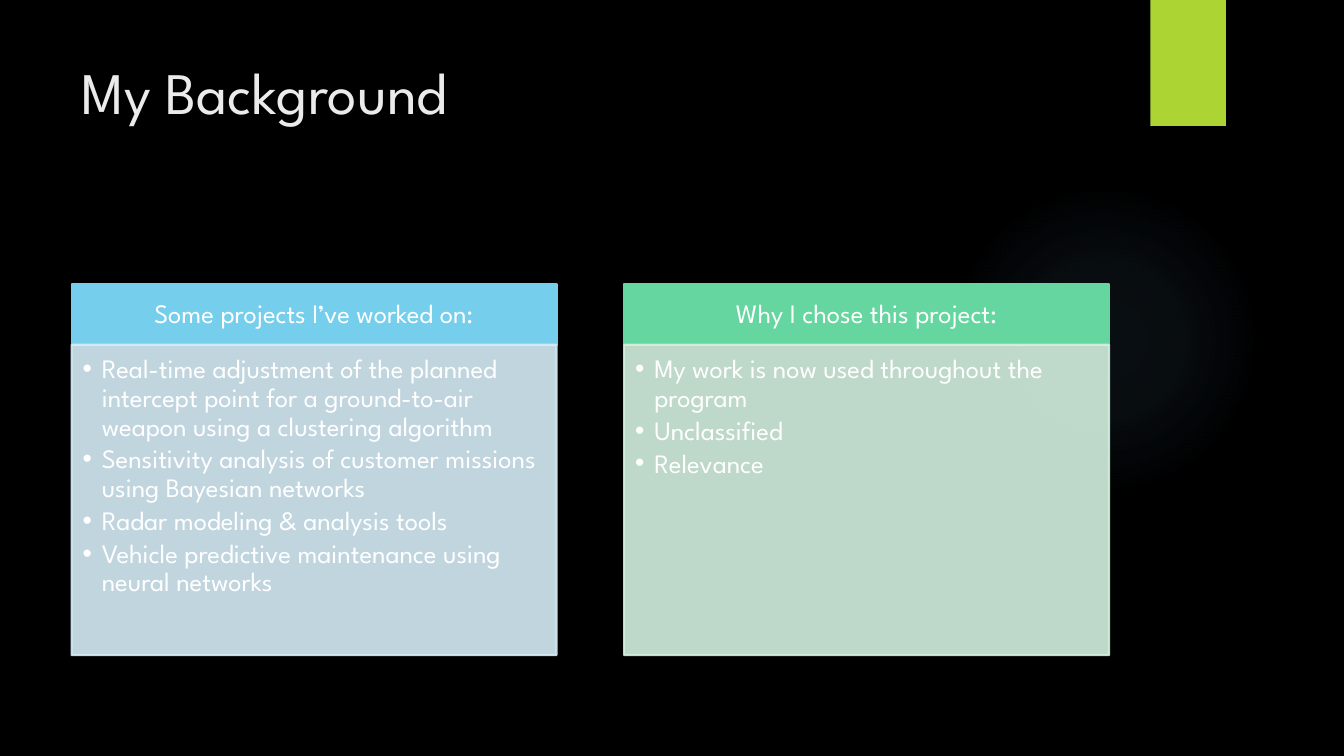
"""Build the "My Background" slide with two headed list cards."""
from lxml import etree
from pptx import Presentation
from pptx import util as u
from pptx.dml.color import RGBColor
from pptx.enum import shapes, text
from pptx.oxml import parse_xml
from pptx.oxml.ns import nsdecls, qn

BLACK = RGBColor(0x00, 0x00, 0x00)
WHITE = RGBColor(0xFF, 0xFF, 0xFF)
TITLE = RGBColor(0xEB, 0xEB, 0xEB)
LIME = RGBColor(0xAC, 0xD4, 0x33)
GLOW = RGBColor(0x7A, 0xC4, 0xF0)
SKY = RGBColor(0x75, 0xCE, 0xEC)
PALE_SKY = RGBColor(0xD6, 0xED, 0xF8)
GREEN = RGBColor(0x65, 0xD6, 0xA0)
PALE_GREEN = RGBColor(0xD3, 0xF0, 0xDF)

LEFT, CARD_W, CARD_STEP = 0.71, 4.81, 5.48
HEAD_TOP, HEAD_H, LIST_H = 2.82, 0.6, 3.08
INDENT = 0.19

CARDS = [
    ("Some projects I’ve worked on:", SKY, PALE_SKY, [
        "Real-time adjustment of the planned intercept point for a "
        "ground-to-air weapon using a clustering algorithm",
        "Sensitivity analysis of customer missions using Bayesian networks",
        "Radar modeling & analysis tools",
        "Vehicle predictive maintenance using neural networks",
    ]),
    ("Why I chose this project:", GREEN, PALE_GREEN, [
        "My work is now used throughout the program",
        "Unclassified",
        "Relevance",
    ]),
]


class Deck:
    """Hold the text style and the current slide."""

    font = "League Spartan"
    size = 19

    def __init__(self, prs, layout):
        self.s = prs.slides.add_slide(prs.slide_layouts[layout])
        fill = self.s.background.fill
        fill.solid()
        fill.fore_color.rgb = BLACK

    def place(self, idx, box, lines, margins, anchor, size, color):
        sp = self.s.placeholders[idx]
        sp.left, sp.top, sp.width, sp.height = map(u.Inches, box)
        tf = sp.text_frame
        tf.text = "\n".join(lines)
        tf.word_wrap = True
        tf.auto_size = text.MSO_AUTO_SIZE.NONE
        tf.vertical_anchor = anchor
        (tf.margin_left, tf.margin_top,
         tf.margin_right, tf.margin_bottom) = map(u.Inches, margins)
        for p in tf.paragraphs:
            p.space_before = u.Pt(0)
            for r in p.runs:
                r.font.name = self.font
                r.font.size = u.Pt(size)
                r.font.bold = False
                r.font.color.rgb = color
        return sp

    def paint(self, sp, color, alpha=None):
        sp.fill.solid()
        sp.fill.fore_color.rgb = color
        sp.line.color.rgb = color
        sp.line.width = u.Pt(1.5)
        if alpha:
            for clr in sp._element.spPr.iter(qn("a:srgbClr")):
                etree.SubElement(clr, qn("a:alpha"), val=str(alpha * 1000))

    def title(self, words):
        sp = self.place(0, (LEFT, 0.5, 10.29, 1.53), [words],
                        (0.1, 0.05, 0.1, 0.05), text.MSO_ANCHOR.TOP, 42, TITLE)
        sp.text_frame.paragraphs[0].alignment = text.PP_ALIGN.LEFT

    def heading(self, idx, x, words, color):
        sp = self.place(idx, (x, HEAD_TOP, CARD_W, HEAD_H), [words],
                        (0.15, 0.08, 0.15, 0.08), text.MSO_ANCHOR.MIDDLE,
                        self.size, WHITE)
        self.paint(sp, color)
        p = sp.text_frame.paragraphs[0]
        p.alignment = text.PP_ALIGN.CENTER
        p.line_spacing = 0.9

    def bullets(self, idx, x, items, color):
        sp = self.place(idx, (x, HEAD_TOP + HEAD_H, CARD_W, LIST_H), items,
                        (0.11, 0.11, 0.15, 0.17), text.MSO_ANCHOR.TOP,
                        self.size, WHITE)
        self.paint(sp, color, 90)
        for p in sp.text_frame.paragraphs:
            p.line_spacing = 0.9
            p.space_after = u.Pt(0.15 * self.size)
            pPr = p._p.get_or_add_pPr()
            pPr.set("marL", str(u.Inches(INDENT)))
            pPr.set("indent", str(-u.Inches(INDENT)))
            etree.SubElement(pPr, qn("a:buChar"), char="•")

    def backdrop(self, kind, box, color):
        sp = self.s.shapes.add_shape(kind, *map(u.Inches, box))
        sp.shadow.inherit = False
        sp.fill.solid()
        sp.fill.fore_color.rgb = color
        sp.line.fill.background()
        self.s.shapes._spTree.insert(2, sp._element)
        return sp

    def glow(self, box, color, stops):
        sp = self.backdrop(shapes.MSO_SHAPE.OVAL, box, color)
        gs = "".join(
            f'<a:gs pos="{pos * 1000}"><a:srgbClr val="{color}">'
            f'<a:alpha val="{alpha * 1000}"/></a:srgbClr></a:gs>'
            for pos, alpha in stops)
        grad = parse_xml(
            f'<a:gradFill {nsdecls("a")}><a:gsLst>{gs}</a:gsLst>'
            '<a:path path="circle"><a:fillToRect l="50000" t="50000" '
            'r="50000" b="50000"/></a:path></a:gradFill>')
        spPr = sp._element.spPr
        spPr.replace(spPr.find(qn("a:solidFill")), grad)


def main():
    prs = Presentation()
    prs.slide_width, prs.slide_height = u.Inches(13.33), u.Inches(7.5)
    deck = Deck(prs, 4)
    deck.title("My Background")
    for i, (head, color, pale, items) in enumerate(CARDS):
        x = LEFT + i * CARD_STEP
        deck.heading(1 + 2 * i, x, head, color)
        deck.bullets(2 + 2 * i, x, items, pale)
    deck.backdrop(shapes.MSO_SHAPE.RECTANGLE, (11.41, 0, 0.75, 1.25), LIME)
    deck.glow((9.41, 1.83, 3.08, 3.08), GLOW, [(0, 7), (36, 6), (69, 0)])
    prs.save("out.pptx")


if __name__ == "__main__":
    main()
